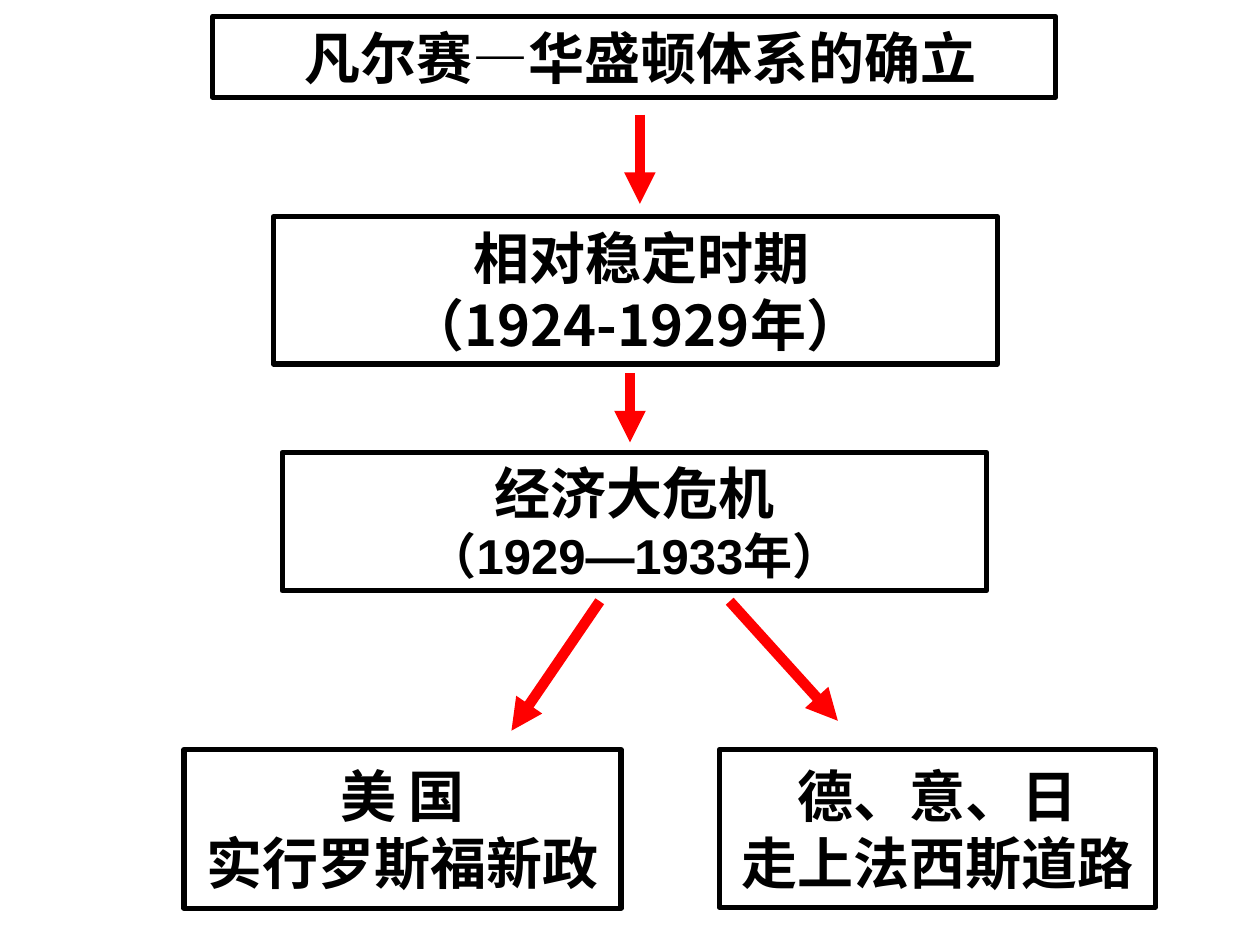
from dataclasses import dataclass

from lxml import etree
from pptx import Presentation
from pptx.dml.color import RGBColor
from pptx.enum.shapes import MSO_CONNECTOR, MSO_SHAPE
from pptx.enum.text import MSO_ANCHOR, MSO_AUTO_SIZE, PP_ALIGN
from pptx.oxml.ns import qn
from pptx.util import Cm, Pt

RECT = MSO_SHAPE.RECTANGLE
STRAIGHT = MSO_CONNECTOR.STRAIGHT
MIDDLE = MSO_ANCHOR.MIDDLE
CENTER = PP_ALIGN.CENTER
NO_AUTOFIT = MSO_AUTO_SIZE.NONE

COLORS = {"ink": "000000", "arrow": "FF0000"}
LATIN = "Arial"
CJK = "Noto Sans CJK SC"


@dataclass(frozen=True)
class Line:
    text: str
    size: int = 32


@dataclass(frozen=True)
class Stage:
    left: float
    top: float
    width: float
    height: float
    lines: tuple[Line, ...]
    font: str = CJK
    wrap: bool = False


@dataclass(frozen=True)
class Arrow:
    x1: float
    y1: float
    x2: float
    y2: float


SYSTEM = Stage(4.29, 0.33, 16.99, 1.63, (Line(" 凡尔赛—华盛顿体系的确立"),), wrap=True)
STAGES = (
    Stage(5.51, 4.37, 14.6, 2.97,
          (Line(" 相对稳定时期"), Line("（1924-1929年）")), wrap=True),
    Stage(5.69, 9.12, 14.2, 2.79,
          (Line("经济大危机"), Line("（1929—1933年）", 28)), font=LATIN),
    Stage(3.71, 15.11, 8.81, 3.2, (Line("美 国"), Line("实行罗斯福新政"))),
    Stage(14.5, 15.11, 8.79, 3.18,
          (Line("德、意、日"), Line("走上法西斯道路")), font=LATIN),
)
ARROWS = (
    Arrow(12.9, 2.31, 12.9, 4.11),
    Arrow(12.7, 7.52, 12.7, 8.92),
    Arrow(12.09, 12.12, 10.31, 14.73),
    Arrow(14.71, 12.12, 16.89, 14.53),
)


def color(name: str) -> RGBColor:
    return RGBColor.from_string(COLORS[name])


def write_lines(tf, stage: Stage) -> None:
    tf.auto_size = NO_AUTOFIT
    tf.word_wrap = stage.wrap
    tf.vertical_anchor = MIDDLE
    tf.margin_left = tf.margin_right = Cm(0.25)
    tf.margin_top = tf.margin_bottom = Cm(0.13)
    for i, line in enumerate(stage.lines):
        p = tf.add_paragraph() if i else tf.paragraphs[0]
        p.alignment = CENTER
        p.space_before = Pt(0)
        r = p.add_run()
        r.text = line.text
        r.font.size = Pt(line.size)
        r.font.bold = True
        r.font.color.rgb = color("ink")
        r.font.name = stage.font
        latin = r.font._element.find(qn("a:latin"))
        ea = etree.Element(qn("a:ea"), typeface=CJK)
        latin.addnext(ea)


def format_stage(sp, stage: Stage) -> None:
    sp.left, sp.top = Cm(stage.left), Cm(stage.top)
    sp.width, sp.height = Cm(stage.width), Cm(stage.height)
    sp.fill.background()
    sp.line.color.rgb = color("ink")
    sp.line.width = Pt(3)
    write_lines(sp.text_frame, stage)


def add_stage(s, stage: Stage) -> None:
    sp = s.shapes.add_shape(RECT, 0, 0, Cm(1), Cm(1))
    sp.shadow.inherit = False
    format_stage(sp, stage)


def add_arrow(s, arrow: Arrow) -> None:
    ends = (Cm(v) for v in (arrow.x1, arrow.y1, arrow.x2, arrow.y2))
    cx = s.shapes.add_connector(STRAIGHT, *ends)
    cx.line.color.rgb = color("arrow")
    cx.line.width = Pt(6)
    etree.SubElement(cx.line._get_or_add_ln(), qn("a:tailEnd"), type="triangle")
    etree.SubElement(cx._element.spPr, qn("a:effectLst"))


def main() -> None:
    prs = Presentation()
    prs.slide_width, prs.slide_height = Cm(25.4), Cm(19.05)
    s = prs.slides.add_slide(prs.slide_layouts[5])
    format_stage(s.shapes.title, SYSTEM)
    for stage in STAGES:
        add_stage(s, stage)
    for arrow in ARROWS:
        add_arrow(s, arrow)
    prs.save("out.pptx")


if __name__ == "__main__":
    main()
